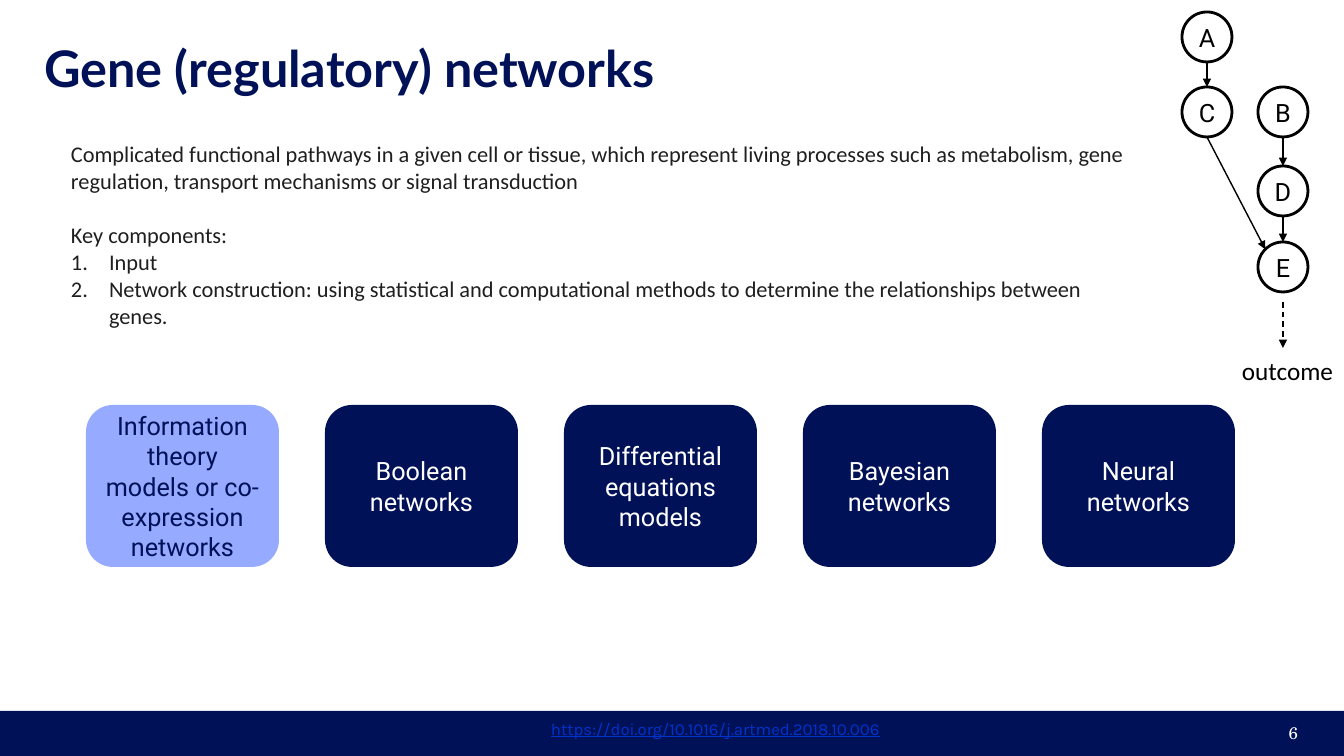
from dataclasses import dataclass
from math import sqrt

from lxml.etree import SubElement
from pptx import Presentation
from pptx.dml.color import RGBColor
from pptx.enum.dml import MSO_LINE_DASH_STYLE as Dash
from pptx.enum.shapes import MSO_CONNECTOR as Connector, MSO_SHAPE as Shape
from pptx.enum.text import MSO_ANCHOR as Anchor, MSO_AUTO_SIZE as AutoSize, PP_ALIGN as Align
from pptx.oxml.ns import qn
from pptx.util import Emu, Pt


@dataclass(frozen=True)
class Theme:
    """Colours, fonts and type sizes of the slide."""
    navy: str = "001158"
    light_blue: str = "96AAFF"
    link_blue: str = "0033CC"
    white: str = "FFFFFF"
    black: str = "000000"
    body: str = "1F1F1F"
    title_size: int = 36
    label_size: int = 18
    body_size: int = 16
    small_size: int = 12
    title_font: str = "Lato"
    body_font: str = "Calibri"
    shape_font: str = "Roboto"
    link_font: str = "Karla"
    number_font: str = "TeX Gyre Schola"


THEME = Theme()
EMU_PER_PX = 914400 / 100.8


def px(length):
    """Turn a length in px into EMU."""
    return Emu(round(length * EMU_PER_PX))


def rgb(color):
    """Turn a hexadecimal string into a colour."""
    return RGBColor.from_string(color)


def set_frame(frame, inset=10, anchor=Anchor.TOP, wrap=True):
    """Set the insets, anchor and wrapping of a text frame."""
    frame.auto_size = AutoSize.NONE
    frame.word_wrap = wrap
    frame.vertical_anchor = anchor
    frame.margin_left = frame.margin_right = px(inset)
    frame.margin_top = frame.margin_bottom = px(inset)


def write(paragraph, text, size=THEME.label_size, font=THEME.shape_font, color=THEME.black,
          align=Align.LEFT, bold=False, underline=False):
    """Write one formatted run into a paragraph."""
    paragraph.alignment = align
    run = paragraph.add_run()
    run.text = text
    run.font.size = Pt(size)
    run.font.name = font
    run.font.color.rgb = rgb(color)
    run.font.bold = bold
    run.font.underline = underline


def add_label(slide, box, text, inset=10, anchor=Anchor.TOP, wrap=True, **text_format):
    """Add a text box with one paragraph."""
    frame = slide.shapes.add_textbox(*map(px, box)).text_frame
    set_frame(frame, inset, anchor, wrap)
    write(frame.paragraphs[0], text, **text_format)


def add_block(slide, kind, box, text="", fill=None, line=None, inset=10, **text_format):
    """Add a flat preset shape with centred text."""
    shape = slide.shapes.add_shape(kind, *map(px, box))
    shape.shadow.inherit = False
    if fill:
        shape.fill.solid()
        shape.fill.fore_color.rgb = rgb(fill)
    else:
        shape.fill.background()
    if line:
        shape.line.color.rgb = rgb(line)
        shape.line.width = Pt(2)
    else:
        shape.line.fill.background()
    if text:
        set_frame(shape.text_frame, inset, Anchor.MIDDLE)
        write(shape.text_frame.paragraphs[0], text, align=Align.CENTER, **text_format)


def add_arrow(slide, start, end, dashed=False):
    """Add a thin black arrow between two points."""
    arrow = slide.shapes.add_connector(Connector.STRAIGHT, *map(px, start + end))
    arrow.line.color.rgb = rgb(THEME.black)
    arrow.line.width = Pt(1)
    if dashed:
        arrow.line.dash_style = Dash.DASH
    SubElement(arrow.line._get_or_add_ln(), qn("a:tailEnd"), type="triangle")
    SubElement(arrow._element.spPr, qn("a:effectLst"))


def add_title(slide, box, text):
    """Place and format the title placeholder."""
    title = slide.shapes.title
    title.left, title.top, title.width, title.height = map(px, box)
    set_frame(title.text_frame, 0, Anchor.MIDDLE)
    write(title.text_frame.paragraphs[0], text, size=THEME.title_size,
          font=THEME.title_font, color=THEME.navy, bold=True)


def add_footer(slide, box, link, number):
    """Add the footer band with its reference and slide number."""
    left, top, width, height = box
    add_block(slide, Shape.RECTANGLE, box, fill=THEME.navy)
    add_label(slide, (left + 541, top + 3, 744, 30), link, anchor=Anchor.MIDDLE,
              size=THEME.small_size, font=THEME.link_font, color=THEME.link_blue, underline=True)
    add_label(slide, (left + width - 338, top + 2, 302, 40), number, anchor=Anchor.MIDDLE,
              size=THEME.small_size, font=THEME.number_font, color=THEME.white, align=Align.RIGHT)


def add_description(slide, box, intro, heading, components):
    """Add the introduction and the numbered list of components."""
    frame = slide.shapes.add_textbox(*map(px, box)).text_frame
    set_frame(frame, 13)
    for index, text in enumerate((intro, heading, *components)):
        paragraph = frame.add_paragraph() if index else frame.paragraphs[0]
        if text == heading:
            paragraph.space_before = Pt(19.5)
        if text in components:
            properties = paragraph._p.get_or_add_pPr()
            properties.set("marL", str(px(38)))
            properties.set("indent", str(px(-38)))
            SubElement(properties, qn("a:buFont"), typeface=THEME.body_font)
            SubElement(properties, qn("a:buAutoNum"), type="arabicPeriod")
        write(paragraph, text, size=THEME.body_size, font=THEME.body_font, color=THEME.body)


def add_models(slide, box, names):
    """Add a row of equally spaced model cards with the first one highlighted."""
    left, top, width, height = box
    card_width = 193
    pitch = (width - card_width) / (len(names) - 1)
    for index, name in enumerate(names):
        fill, color = (THEME.navy, THEME.white) if index else (THEME.light_blue, THEME.navy)
        add_block(slide, Shape.ROUNDED_RECTANGLE, (left + index * pitch, top, card_width, height),
                  name, fill=fill, color=color)


def add_network(slide, box, outcome):
    """Add the small gene graph and its outcome."""
    left, top, width, height = box
    radius = 25
    first, second = left + radius, left + 101
    centers = {"A": (first, top + 25), "B": (second, top + 100), "C": (first, top + 100),
               "D": (second, top + 179), "E": (second, top + 255)}
    for name, (x, y) in centers.items():
        add_block(slide, Shape.OVAL, (x - radius, y - radius, 2 * radius, 2 * radius),
                  name, line=THEME.black, inset=0)
    for source, target in ("AC", "BD", "DE", "CE"):
        (x1, y1), (x2, y2) = centers[source], centers[target]
        offset = (0, radius) if x1 == x2 else (radius / sqrt(2), radius / sqrt(2))
        add_arrow(slide, (x1, y1 + radius), (x2 - offset[0], y2 - offset[1]))
    add_arrow(slide, (second, top + 290), (second, top + 336), dashed=True)
    add_label(slide, (left + 48, top + height - 45, 101, 45), outcome, inset=12, wrap=False,
              font=THEME.body_font)


def main():
    """Build and save the slide."""
    presentation = Presentation()
    presentation.slide_width, presentation.slide_height = px(1344), px(756)
    slide = presentation.slides.add_slide(presentation.slide_layouts[5])
    add_footer(slide, (0, 711, 1344, 45), "https://doi.org/10.1016/j.artmed.2018.10.006", "6")
    add_title(slide, (44, 44, 1255, 47), "Gene (regulatory) networks")
    add_description(
        slide, (58, 127, 1080, 176),
        "Complicated functional pathways in a given cell or tissue, which represent living "
        "processes such as metabolism, gene regulation, transport mechanisms or signal transduction",
        "Key components:",
        ("Input", "Network construction: using statistical and computational methods to "
                  "determine the relationships between genes."))
    add_models(slide, (86, 405, 1149, 162),
               ("Information theory models or co-expression networks", "Boolean networks",
                "Differential equations models", "Bayesian networks", "Neural networks"))
    add_network(slide, (1182, 12, 149, 376), "outcome")
    presentation.save("out.pptx")


if __name__ == "__main__":
    main()
